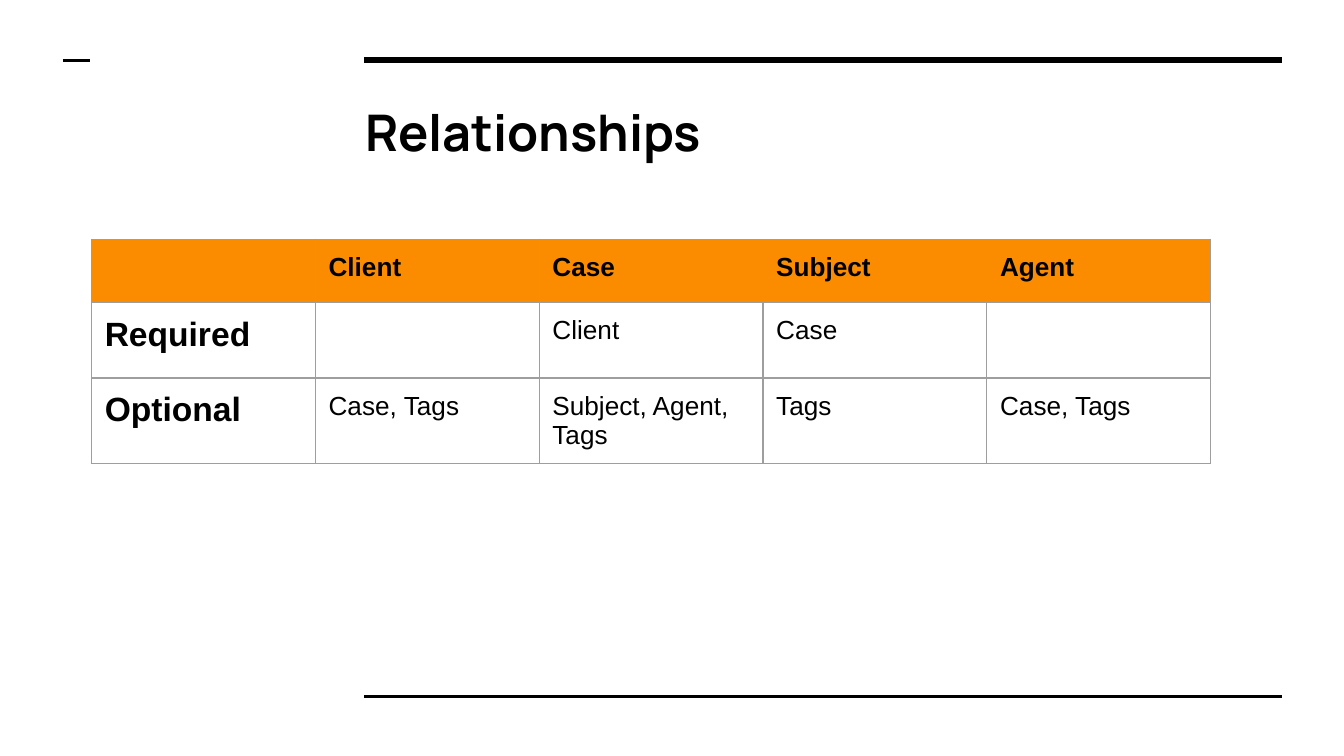
"""Build a slide with a table of required and optional relationships."""
from lxml.etree import SubElement
from pptx import Presentation
from pptx.dml.color import RGBColor
from pptx.enum.shapes import MSO_CONNECTOR
from pptx.enum.text import MSO_ANCHOR, PP_ALIGN
from pptx.oxml.ns import qn
from pptx.util import Cm, Pt

BLACK = RGBColor(0x00, 0x00, 0x00)
ORANGE = RGBColor(0xFB, 0x8C, 0x00)
GREY = RGBColor(0x9E, 0x9E, 0x9E)

TITLE = "Relationships"
ROWS = [
    ["", "Client", "Case", "Subject", "Agent"],
    ["Required", "", "Client", "Case", ""],
    ["Optional", "Case, Tags", "Subject, Agent, Tags", "Tags", "Case, Tags"],
]
ROW_HEIGHTS = [1.2, 1.42, 1.6]
COL_WIDTH = 4.23
OPEN_HEADER_EDGES = {(2, "lnR"), (3, "lnL"), (3, "lnR"), (4, "lnL")}
RULES = [(6.88, 24.23, 1.14, 3), (6.88, 24.23, 13.16, 1.5), (1.19, 1.7, 1.14, 1.5)]
INSET = Cm(0.25)


def set_inset(box):
    box.margin_left = box.margin_right = INSET
    box.margin_top = box.margin_bottom = INSET


def style_run(r, font, size, bold):
    r.font.name = font
    r.font.size = Pt(size)
    r.font.bold = bold
    r.font.color.rgb = BLACK


def add_rule(s, left, right, y, weight):
    rule = s.shapes.add_connector(
        MSO_CONNECTOR.STRAIGHT, Cm(left), Cm(y), Cm(right), Cm(y))
    rule.line.color.rgb = BLACK
    rule.line.width = Pt(weight)
    SubElement(rule._element.spPr, qn("a:effectLst"))


def add_borders(cell, row, col):
    tcPr = cell._tc.get_or_add_tcPr()
    for edge in ("lnL", "lnR", "lnT", "lnB"):
        ln = SubElement(tcPr, qn(f"a:{edge}"), w=str(Pt(0.75)))
        if row == 0 and (col, edge) in OPEN_HEADER_EDGES:
            SubElement(ln, qn("a:noFill"))
        else:
            fill = SubElement(ln, qn("a:solidFill"))
            SubElement(fill, qn("a:srgbClr"), val=str(GREY))


def fill_cell(cell, row, col, text):
    add_borders(cell, row, col)
    if row == 0:
        cell.fill.solid()
        cell.fill.fore_color.rgb = ORANGE
    else:
        cell.fill.background()
    if text:
        set_inset(cell)
        cell.text_frame.text = text
        style_run(cell.text_frame.paragraphs[0].runs[0], "Arial",
                  18 if col == 0 else 14, row == 0 or col == 0)


def add_title(s):
    title = s.shapes.title
    title.left, title.top, title.width, title.height = Cm(6.65), Cm(1.6), Cm(17.55), Cm(1.75)
    tf = title.text_frame
    tf.text = TITLE
    set_inset(tf)
    tf.vertical_anchor = MSO_ANCHOR.MIDDLE
    p = tf.paragraphs[0]
    p.alignment = PP_ALIGN.LEFT
    style_run(p.runs[0], "Manrope", 27, True)


def add_relationships(s):
    cols = len(ROWS[0])
    table = s.shapes.add_table(len(ROWS), cols, Cm(1.73), Cm(4.52),
                               Cm(COL_WIDTH * cols), Cm(sum(ROW_HEIGHTS))).table
    table.first_row = table.horz_banding = False
    for column in table.columns:
        column.width = Cm(COL_WIDTH)
    for i, (height, texts) in enumerate(zip(ROW_HEIGHTS, ROWS)):
        table.rows[i].height = Cm(height)
        for j, text in enumerate(texts):
            fill_cell(table.cell(i, j), i, j, text)


def main():
    prs = Presentation()
    prs.slide_width, prs.slide_height = Cm(25.4), Cm(14.28)
    s = prs.slides.add_slide(prs.slide_layouts[5])
    for rule in RULES:
        add_rule(s, *rule)
    add_title(s)
    add_relationships(s)
    prs.save("out.pptx")


if __name__ == "__main__":
    main()
